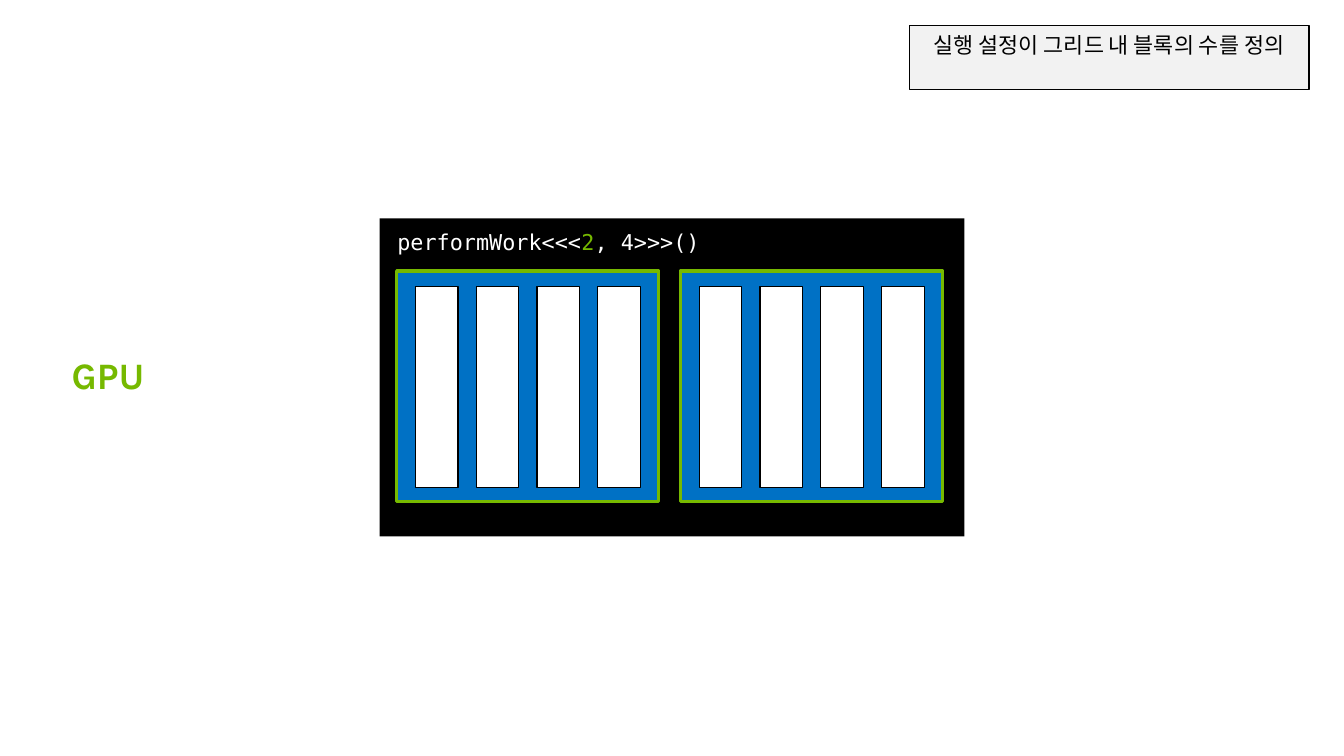
from pptx import Presentation
from pptx.dml.color import RGBColor
from pptx.enum.shapes import MSO_SHAPE
from pptx.enum.text import MSO_ANCHOR, PP_ALIGN
from pptx.util import Pt

COLORS = {
    "black": "000000",
    "white": "FFFFFF",
    "green": "76B900",
    "blue": "0071C5",
    "gray": "F2F2F2",
}


def add_rect(shapes, x, y, w, h, fill=None, line=None, weight=0.75):
    sp = shapes.add_shape(MSO_SHAPE.RECTANGLE, Pt(x), Pt(y), Pt(w), Pt(h))
    sp.shadow.inherit = False
    if fill:
        sp.fill.solid()
        sp.fill.fore_color.rgb = RGBColor.from_string(COLORS[fill])
    else:
        sp.fill.background()
    if line:
        sp.line.color.rgb = RGBColor.from_string(COLORS[line])
        sp.line.width = Pt(weight)
    else:
        sp.line.fill.background()
    return sp


def write(sp, runs, font, size, bold=False, align=PP_ALIGN.LEFT,
          anchor=MSO_ANCHOR.TOP, spacing=None):
    """Fill the first paragraph with (text, colour) runs."""
    tf = sp.text_frame
    tf.word_wrap = True
    tf.vertical_anchor = anchor
    p = tf.paragraphs[0]
    p.alignment = align
    p.line_spacing = spacing
    for text, color in runs:
        r = p.add_run()
        r.text = text
        r.font.name = font
        r.font.size = Pt(size)
        r.font.bold = bold
        r.font.color.rgb = RGBColor.from_string(COLORS[color])


prs = Presentation()
prs.slide_width, prs.slide_height = Pt(864), Pt(486)
s = prs.slides.add_slide(prs.slide_layouts[6])

# GPU panel with its kernel launch
grid = s.shapes.add_group_shape().shapes
add_rect(grid, 244, 140.4, 376, 204.5, fill="black")
launch = add_rect(grid, 248.4, 143.3, 220.3, 24.5)
write(launch, [("performWork<<<", "white"), ("2", "green"), (", 4>>>()", "white")],
      "DejaVu Sans Mono", 14, anchor=MSO_ANCHOR.MIDDLE)

# Two blocks of four threads
for block in range(2):
    block_x = 255 + block * 182.5
    add_rect(grid, block_x, 174.2, 168.5, 148.5, fill="blue", line="green", weight=2)
    for thread in range(4):
        add_rect(grid, block_x + 12 + thread * 39.1, 184.3, 27.5, 128.9,
                 fill="white", line="black")

note = add_rect(s.shapes, 584.6, 16.6, 257, 41, fill="gray", line="black")
write(note, [("실행 설정이 그리드 내 블록의 수를 정의", "black")], "Arial", 14,
      align=PP_ALIGN.CENTER)

label = s.shapes.add_textbox(Pt(39), Pt(226), Pt(70), Pt(33))
write(label, [("GPU", "green")], "Karla", 24, bold=True,
      anchor=MSO_ANCHOR.BOTTOM, spacing=0.9)

prs.save("out.pptx")
